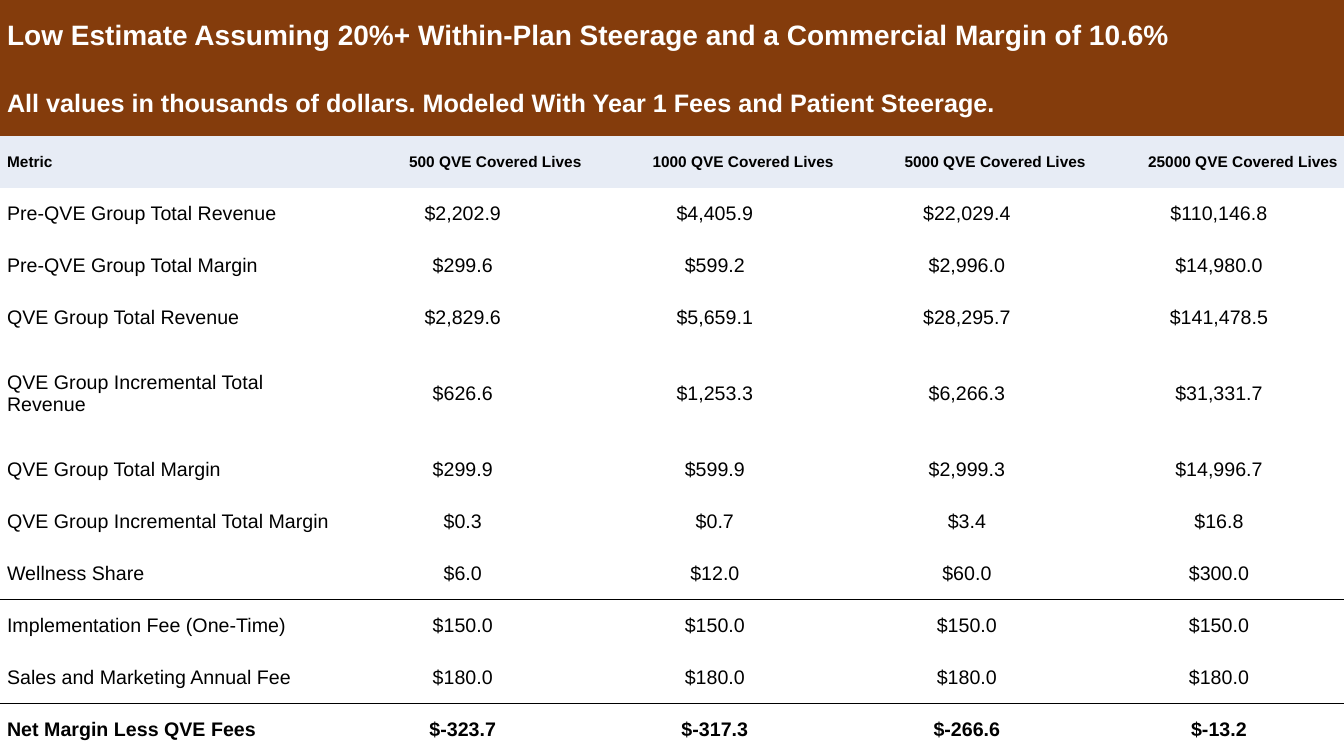
from lxml import etree
from pptx import Presentation
from pptx import util as u
from pptx.dml.color import RGBColor
from pptx.enum import text
from pptx.oxml import ns

COLORS = {"band": "843C0C", "header": "E7ECF5", "light": "FFFFFF", "dark": "000000"}
FORMATS = {
    "title": {"size": u.Pt(20), "bold": True},
    "subtitle": {"size": u.Pt(18), "bold": True},
    "header": {"size": u.Pt(11), "bold": True},
    "body": {"size": u.Pt(14), "bold": False},
    "total": {"size": u.Pt(14), "bold": True},
}
NO_STYLE = "{2D5ABB26-0587-4C30-8999-92F81FD0307C}"
SLIDE_WIDTH, SLIDE_HEIGHT = 13.33, 7.5
METRIC_WIDTH, LIVES_WIDTH = 3.34, 2.5
TITLE_HEIGHT, SUBTITLE_HEIGHT, WRAPPED_HEIGHT = 0.71, 0.64, 0.99
TEXT_INSET = u.Inches(0.07)

TITLE = "Low Estimate Assuming 20%+ Within-Plan Steerage and a Commercial Margin of 10.6%"
SUBTITLE = "All values in thousands of dollars. Modeled With Year 1 Fees and Patient Steerage."
COVERED_LIVES = [500, 1000, 5000, 25000]
WRAPPED_METRIC = "QVE Group Incremental Total Revenue"
TOTAL_METRIC = "Net Margin Less QVE Fees"
RULED_METRICS = ["Wellness Share", "Sales and Marketing Annual Fee"]
METRICS = {
    "Pre-QVE Group Total Revenue": [2202.9, 4405.9, 22029.4, 110146.8],
    "Pre-QVE Group Total Margin": [299.6, 599.2, 2996.0, 14980.0],
    "QVE Group Total Revenue": [2829.6, 5659.1, 28295.7, 141478.5],
    WRAPPED_METRIC: [626.6, 1253.3, 6266.3, 31331.7],
    "QVE Group Total Margin": [299.9, 599.9, 2999.3, 14996.7],
    "QVE Group Incremental Total Margin": [0.3, 0.7, 3.4, 16.8],
    "Wellness Share": [6.0, 12.0, 60.0, 300.0],
    "Implementation Fee (One-Time)": [150.0] * 4,
    "Sales and Marketing Annual Fee": [180.0] * 4,
    TOTAL_METRIC: [-323.7, -317.3, -266.6, -13.2],
}


def rgb(name):
    return RGBColor.from_string(COLORS[name])


def write_cell(cell, wording, style, align, color="dark", fill=None):
    for side in ("left", "right", "top", "bottom"):
        setattr(cell, f"margin_{side}", 0)
    cell.vertical_anchor = text.MSO_ANCHOR.MIDDLE
    if fill:
        cell.fill.solid()
        cell.fill.fore_color.rgb = rgb(fill)
    else:
        cell.fill.background()
    paragraph = cell.text_frame.paragraphs[0]
    paragraph.alignment = align
    indents = paragraph._p.get_or_add_pPr()
    for key, value in {"marL": TEXT_INSET, "marR": TEXT_INSET, "indent": 0}.items():
        indents.set(key, str(value))
    run = paragraph.add_run()
    run.text = wording
    for key, value in {"name": "Arial", **FORMATS[style]}.items():
        setattr(run.font, key, value)
    run.font.color.rgb = rgb(color)


def add_edge(cell, edge, ruled):
    line = etree.Element(ns.qn(f"a:{edge}"), w=str(u.Pt(1)))
    if ruled:
        solid = etree.SubElement(line, ns.qn("a:solidFill"))
        etree.SubElement(solid, ns.qn("a:srgbClr"), val=COLORS["dark"])
    else:
        etree.SubElement(line, ns.qn("a:noFill"))
    cell._tc.get_or_add_tcPr().insert(0, line)


def write_band(table, row, wording, style):
    band = table.cell(row, 0)
    band.merge(table.cell(row, len(table.columns) - 1))
    write_cell(band, wording, style, text.PP_ALIGN.LEFT, "light", "band")


def write_row(table, row, label, values, style, align, fill=None):
    write_cell(table.cell(row, 0), label, style, text.PP_ALIGN.LEFT, fill=fill)
    for column, value in enumerate(values, 1):
        write_cell(table.cell(row, column), value, style, align, fill=fill)


def set_edges(table, row, ruled_above, ruled_below):
    for column in range(len(table.columns)):
        cell = table.cell(row, column)
        add_edge(cell, "lnB", ruled_below)
        add_edge(cell, "lnT", ruled_above)


def add_estimate_table(slide):
    row_height = (SLIDE_HEIGHT - TITLE_HEIGHT - SUBTITLE_HEIGHT - WRAPPED_HEIGHT) / len(METRICS)
    heights = [TITLE_HEIGHT, SUBTITLE_HEIGHT, row_height]
    heights += [WRAPPED_HEIGHT if metric == WRAPPED_METRIC else row_height for metric in METRICS]
    widths = [METRIC_WIDTH] + [LIVES_WIDTH] * len(COVERED_LIVES)
    frame = slide.shapes.add_table(len(heights), len(widths), 0, 0,
                                   u.Inches(sum(widths)), u.Inches(SLIDE_HEIGHT))
    table = frame.table
    table.first_row = table.horz_banding = False
    table._tbl.tblPr.find(ns.qn("a:tableStyleId")).text = NO_STYLE
    for column, width in zip(table.columns, widths):
        column.width = u.Inches(width)
    for row, height in zip(table.rows, heights):
        row.height = u.Inches(height)
    return table


def main():
    deck = Presentation()
    deck.slide_width = u.Inches(SLIDE_WIDTH)
    deck.slide_height = u.Inches(SLIDE_HEIGHT)
    slide = deck.slides.add_slide(deck.slide_layouts[6])
    table = add_estimate_table(slide)
    write_band(table, 0, TITLE, "title")
    write_band(table, 1, SUBTITLE, "subtitle")
    headings = [f"{lives} QVE Covered Lives" for lives in COVERED_LIVES]
    write_row(table, 2, "Metric", headings, "header", text.PP_ALIGN.RIGHT, "header")
    ruled_above = False
    for row, (metric, amounts) in enumerate(METRICS.items(), 3):
        style = "total" if metric == TOTAL_METRIC else "body"
        dollars = [f"${amount:,.1f}" for amount in amounts]
        write_row(table, row, metric, dollars, style, text.PP_ALIGN.CENTER)
        ruled_below = metric in RULED_METRICS
        set_edges(table, row, ruled_above, ruled_below)
        ruled_above = ruled_below
    deck.save("out.pptx")


if __name__ == "__main__":
    main()
